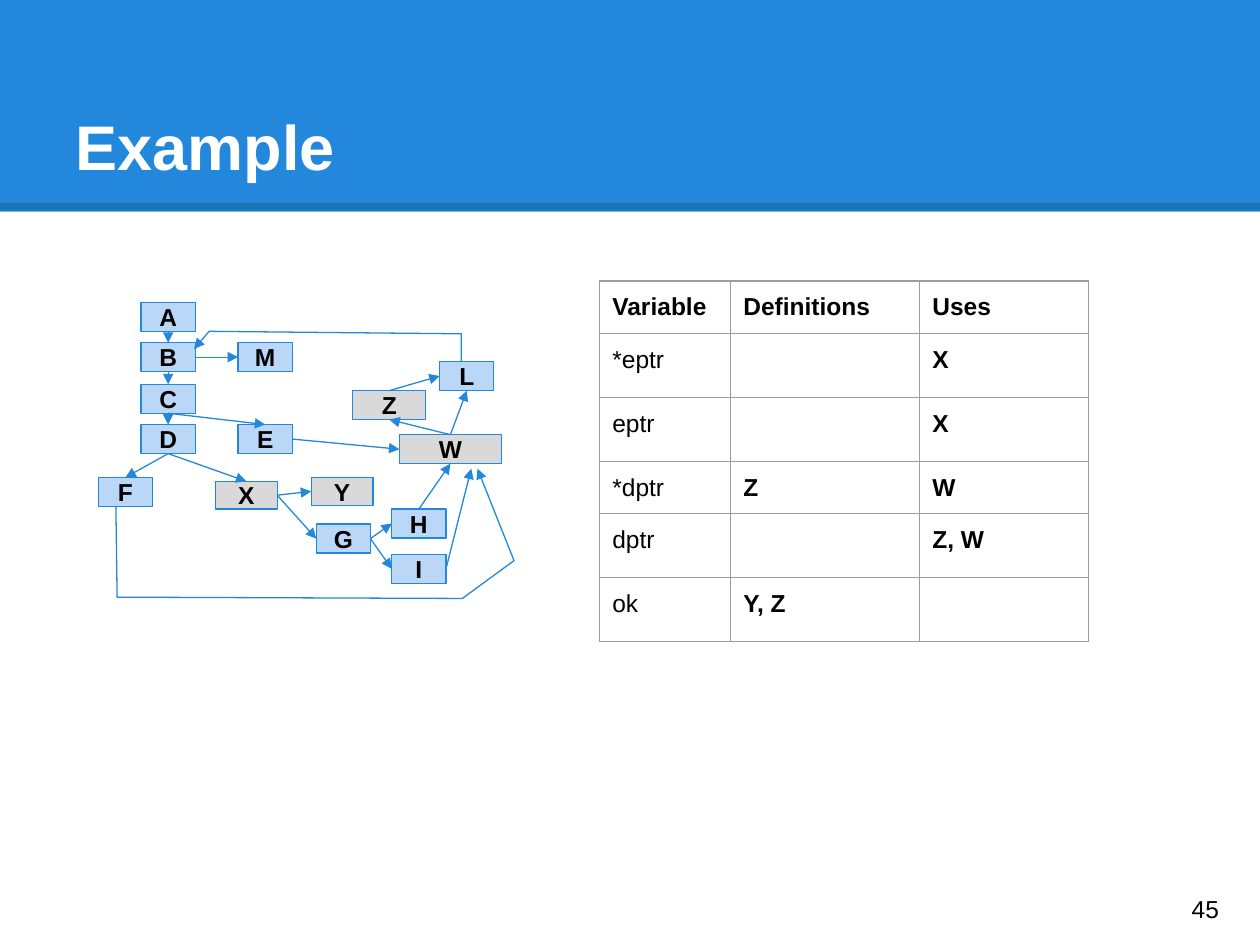
from lxml.etree import SubElement
from pptx import Presentation
from pptx.dml.color import RGBColor
from pptx.enum.shapes import MSO_CONNECTOR, MSO_SHAPE
from pptx.enum.text import MSO_ANCHOR as Anchor, MSO_AUTO_SIZE, PP_ALIGN as Align
from pptx.oxml import parse_xml
from pptx.oxml.ns import nsdecls, qn
from pptx.util import Inches, Pt

COLORS = {"blue": "2388DB", "light": "BBD7F8", "gray": "D9D9D9",
          "border": "9E9E9E", "black": "000000", "white": "FFFFFF"}
TOP, LEFT, BOTTOM, RIGHT = range(4)
SMALL = (0.43, 0.23)

# Flow graph: node -> left, top, size, fill
NODES = {
    "A": (1.12, 2.4, SMALL, "light"),
    "B": (1.12, 2.72, SMALL, "light"),
    "M": (1.89, 2.72, SMALL, "light"),
    "C": (1.12, 3.05, SMALL, "light"),
    "D": (1.12, 3.37, SMALL, "light"),
    "E": (1.89, 3.37, SMALL, "light"),
    "F": (0.78, 3.79, SMALL, "light"),
    "X": (1.71, 3.82, (0.49, 0.22), "gray"),
    "Y": (2.47, 3.79, (0.49, 0.22), "gray"),
    "G": (2.51, 4.16, SMALL, "light"),
    "H": (3.11, 4.04, SMALL, "light"),
    "I": (3.11, 4.4, SMALL, "light"),
    "W": (3.17, 3.45, (0.81, 0.23), "gray"),
    "Z": (2.8, 3.1, (0.58, 0.23), "gray"),
    "L": (3.49, 2.87, SMALL, "light"),
}
# An end is a side of the target node, or a free point
EDGES = [
    ("A", BOTTOM, "B", TOP), ("B", RIGHT, "M", LEFT), ("B", BOTTOM, "C", TOP),
    ("C", BOTTOM, "D", TOP), ("C", BOTTOM, "E", TOP), ("D", BOTTOM, "F", TOP),
    ("D", BOTTOM, "X", TOP), ("X", RIGHT, "Y", LEFT), ("X", RIGHT, "G", LEFT),
    ("G", RIGHT, "H", LEFT), ("G", RIGHT, "I", LEFT), ("H", TOP, "W", BOTTOM),
    ("I", RIGHT, None, (3.74, 3.72)), ("E", RIGHT, "W", LEFT),
    ("W", TOP, "Z", BOTTOM), ("Z", TOP, "L", LEFT), ("W", TOP, "L", BOTTOM),
]
F_TO_W = [(0.92, 4.02), (0.93, 4.74), (3.67, 4.75), (4.08, 4.45), (3.79, 3.72)]
L_TO_B = [(3.66, 2.87), (3.66, 2.65), (1.66, 2.63), (1.54, 2.77)]

USAGE = [
    ("Variable", "Definitions", "Uses"),
    ("*eptr", "", "X"),
    ("eptr", "", "X"),
    ("*dptr", "Z", "W"),
    ("dptr", "", "Z, W"),
    ("ok", "Y, Z", ""),
]
COLUMN_WIDTHS = [1.04, 1.5, 1.34]
ROW_HEIGHTS = [0.41, 0.43, 0.43, 0.41, 0.43, 0.43]


def rgb(name):
    return RGBColor.from_string(COLORS[name])


def set_font(paragraph, size, color="black", bold=False):
    font = paragraph.font
    font.name, font.size, font.bold = "Arial", Pt(size), bold
    font.color.rgb = rgb(color)


def fill_frame(frame, text, anchor, size, color="black", bold=False, align=Align.LEFT):
    frame.text = text
    frame.word_wrap = True
    frame.auto_size = MSO_AUTO_SIZE.NONE
    frame.vertical_anchor = anchor
    frame.margin_left = frame.margin_right = Inches(0.1)
    frame.margin_top = frame.margin_bottom = Inches(0.1)
    frame.paragraphs[0].alignment = align
    set_font(frame.paragraphs[0], size, color, bold)


def style_line(shape, color="blue", width=0.75, arrow=True):
    shape.line.color.rgb = rgb(color)
    shape.line.width = Pt(width)
    if arrow:
        SubElement(shape.line._get_or_add_ln(), qn("a:tailEnd"), type="triangle")


def add_line(start, end, **style):
    line = shapes.add_connector(MSO_CONNECTOR.STRAIGHT, *map(Inches, start + end))
    style_line(line, **style)
    SubElement(line._element.spPr, qn("a:effectLst"))
    return line


def add_box(left, top, width, height, fill):
    box = shapes.add_shape(MSO_SHAPE.RECTANGLE, *map(Inches, (left, top, width, height)))
    box.shadow.inherit = False
    box.fill.solid()
    box.fill.fore_color.rgb = rgb(fill)
    return box


def add_route(points):
    points = [(Inches(x), Inches(y)) for x, y in points]
    builder = shapes.build_freeform(*points[0])
    builder.add_line_segments(points[1:], close=False)
    route = builder.convert_to_shape()
    route.shadow.inherit = False
    route.fill.background()
    style_line(route)


prs = Presentation()
prs.slide_width, prs.slide_height = Inches(10), Inches(7.5)
slide = prs.slides.add_slide(prs.slide_layouts[5])
shapes = slide.shapes

# Header band with a translucent strip along its foot
add_box(0, 0, 10, 1.68, "blue").line.fill.background()
strip = add_line((0, 1.64), (10, 1.64), color="black", width=4.5, arrow=False)
strip_color = strip._element.spPr.find(".//" + qn("a:srgbClr"))
SubElement(strip_color, qn("a:alpha"), val="15000")

# Title, brought in front of the band
title = shapes.title
title.left, title.top, title.width, title.height = map(Inches, (0.5, 0.3, 9, 1.25))
fill_frame(title.text_frame, "Example", Anchor.BOTTOM, 36, "white", True)
shapes._spTree.append(title._element)

# Flow graph
add_route(F_TO_W)
boxes = {}
for name, (left, top, size, fill) in NODES.items():
    boxes[name] = add_box(left, top, *size, fill)
    style_line(boxes[name], arrow=False)
    fill_frame(boxes[name].text_frame, name, Anchor.MIDDLE, 14, bold=True, align=Align.CENTER)
for source, side, target, end in EDGES:
    edge = add_line((0, 0), (0, 0) if target else end)
    edge.begin_connect(boxes[source], side)
    if target:
        edge.end_connect(boxes[target], end)
add_route(L_TO_B)

# Variable usage table
table = shapes.add_table(len(USAGE), len(COLUMN_WIDTHS), Inches(4.76), Inches(2.23),
                         Inches(sum(COLUMN_WIDTHS)), Inches(sum(ROW_HEIGHTS))).table
table.first_row = table.horz_banding = False
for column, width in zip(table.columns, COLUMN_WIDTHS):
    column.width = Inches(width)
for r, (row, height) in enumerate(zip(USAGE, ROW_HEIGHTS)):
    table.rows[r].height = Inches(height)
    for c, text in enumerate(row):
        cell = table.cell(r, c)
        cell.margin_left = cell.margin_right = Inches(0.1)
        cell.margin_top = cell.margin_bottom = Inches(0.1)
        cell.fill.background()
        for i, edge in enumerate(("lnL", "lnR", "lnT", "lnB")):
            cell._tc.tcPr.insert(i, parse_xml(
                f'<a:{edge} {nsdecls("a")} w="{Pt(0.75)}"><a:solidFill>'
                f'<a:srgbClr val="{COLORS["border"]}"/></a:solidFill></a:{edge}>'))
        if text:
            cell.text = text
            set_font(cell.text_frame.paragraphs[0], 14, bold=r == 0 or c > 0)

# Slide number
number = shapes.add_textbox(*map(Inches, (9.36, 6.93, 0.6, 0.57)))
fill_frame(number.text_frame, "45", Anchor.MIDDLE, 14)

prs.save("out.pptx")
